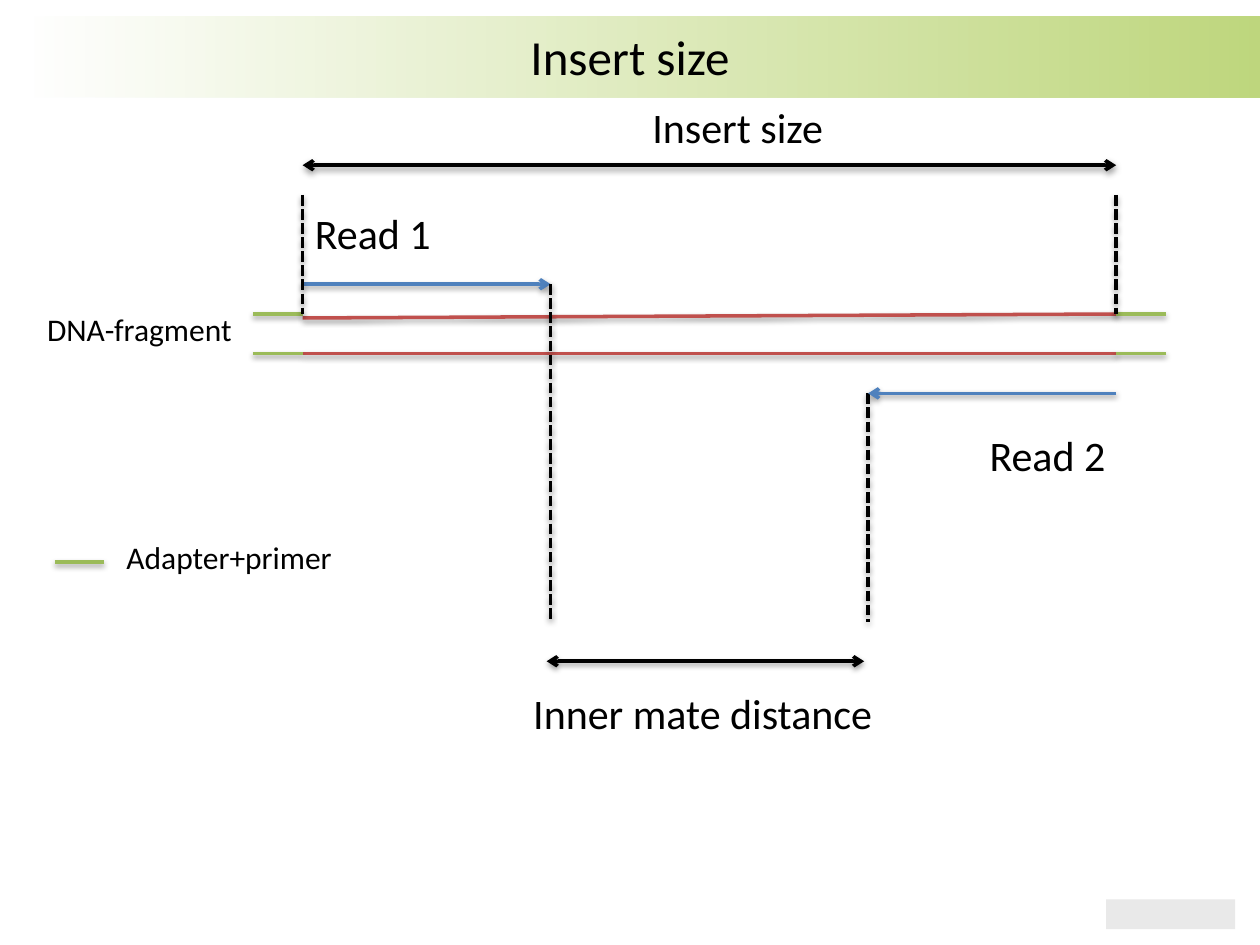
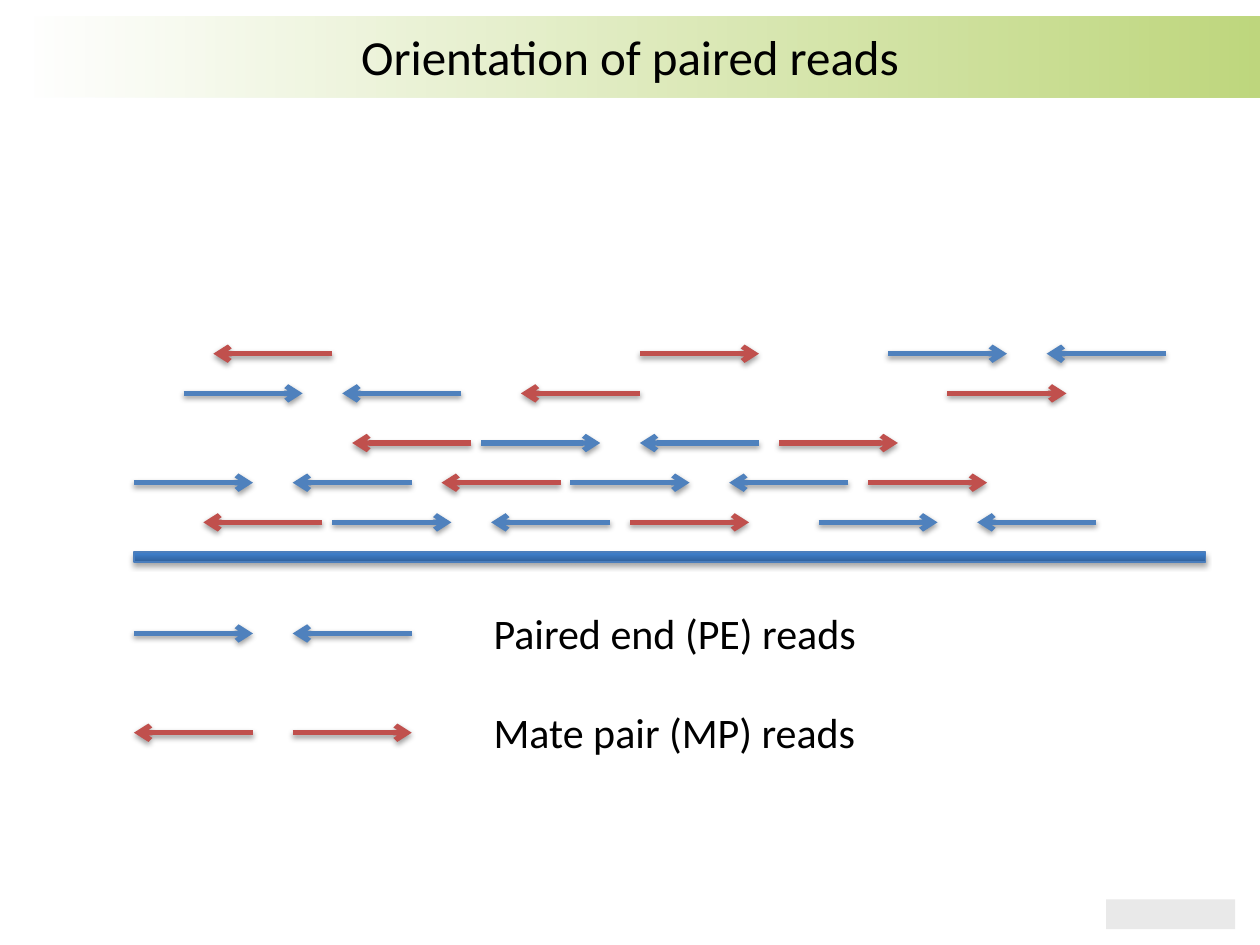
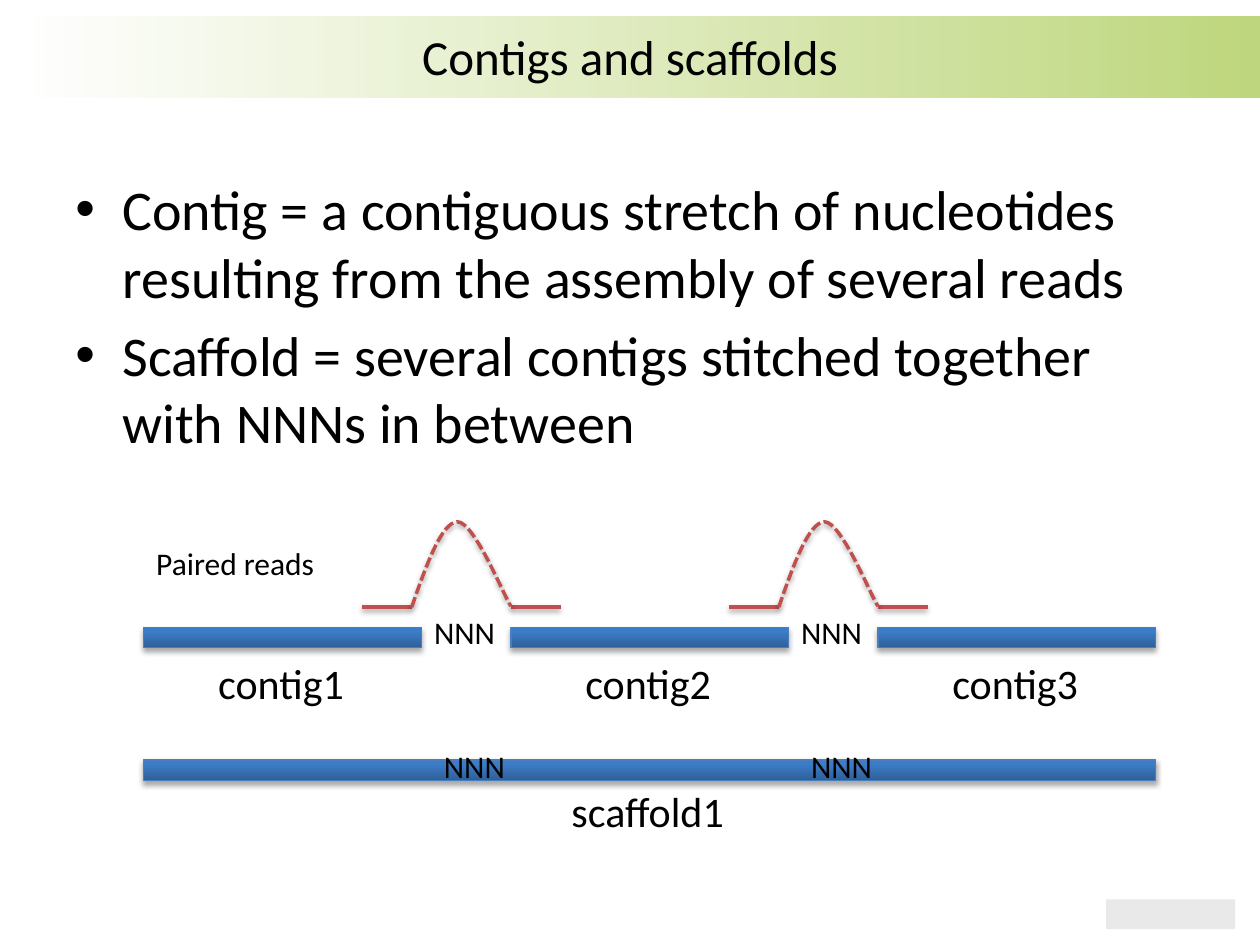
from dataclasses import dataclass

from lxml import etree
from pptx import Presentation
from pptx.dml.color import RGBColor
from pptx.enum.dml import MSO_LINE
from pptx.enum.shapes import MSO_CONNECTOR, MSO_SHAPE
from pptx.enum.text import MSO_ANCHOR, MSO_AUTO_SIZE, PP_ALIGN
from pptx.oxml.ns import qn
from pptx.util import Cm, Pt

RECT = MSO_SHAPE.RECTANGLE
STRAIGHT = MSO_CONNECTOR.STRAIGHT
DASH = MSO_LINE.SQUARE_DOT
CENTER = PP_ALIGN.CENTER
MIDDLE = MSO_ANCHOR.MIDDLE
FIT = MSO_AUTO_SIZE.SHAPE_TO_FIT_TEXT
TITLE_ONLY = 5


@dataclass(frozen=True)
class Theme:
    """Colours, font and type sizes shared by the slides."""
    font: str = "Calibri"
    title: int = 28
    body: int = 32
    label: int = 24
    small: int = 18
    ink: str = "000000"
    blue: str = "4F81BD"
    red: str = "C0504D"
    green: str = "9BBB59"
    grey: str = "E9E9E9"
    bar_edge: str = "4B7EBC"
    bar_stops: tuple = ((0, "2F5F99", 100), (80, "3D7CC7", 100), (100, "3A7CCB", 100))
    band_stops: tuple = ((0, "FFFFFF", 53), (100, "85B30A", 53))


T = Theme()


def rgb(value):
    """Turn a hex string into a colour."""
    return RGBColor.from_string(value)


def add_color(parent, value, alpha):
    """Append a colour with the given opacity in percent."""
    clr = etree.SubElement(parent, qn("a:srgbClr"), val=value)
    etree.SubElement(clr, qn("a:alpha"), val=str(alpha * 1000))


def set_gradient(shape, stops, angle):
    """Fill a shape with a linear gradient."""
    shape.fill.gradient()
    shape.fill.gradient_angle = angle
    stop_list = shape._element.spPr.find(".//" + qn("a:gsLst"))
    for gs in list(stop_list):
        stop_list.remove(gs)
    for pos, value, alpha in stops:
        gs = etree.SubElement(stop_list, qn("a:gs"), pos=str(pos * 1000))
        add_color(gs, value, alpha)


def add_shadow(shape, alpha=38, dist=20000):
    """Give a shape a soft shadow straight below it."""
    effects = etree.SubElement(shape._element.spPr, qn("a:effectLst"))
    shadow = etree.SubElement(effects, qn("a:outerShdw"), blurRad="40000",
                              dist=str(dist), dir="5400000", rotWithShape="0")
    add_color(shadow, T.ink, alpha)


def style_line(line, color, weight, dashed=False):
    """Set the colour, weight and dash of a line."""
    line.color.rgb = rgb(color)
    line.width = Pt(weight)
    if dashed:
        line.dash_style = DASH


def add_run(p, text, size):
    """Add one run in the theme's font and ink."""
    r = p.add_run()
    r.text = text
    r.font.name = T.font
    r.font.size = Pt(size)
    r.font.color.rgb = rgb(T.ink)


@dataclass
class Region:
    """A box on a slide whose parts are placed in cm from its corner."""
    s: object
    left: float
    top: float
    width: float = 0
    height: float = 0

    def point(self, x, y):
        """Turn an offset in the box into a place on the slide."""
        return Cm(self.left + x), Cm(self.top + y)

    def line(self, start, end, color=T.ink, weight=2, dashed=False, ends=()):
        """Draw a straight line, with arrowheads at the named ends."""
        c = self.s.shapes.add_connector(STRAIGHT, *self.point(*start), *self.point(*end))
        style_line(c.line, color, weight, dashed)
        for end_tag in ends:
            etree.SubElement(c.line._get_or_add_ln(), qn(end_tag), type="arrow")
        add_shadow(c)

    def label(self, text, x, y, width, size=T.label):
        """Write a one-line label."""
        height = 1.29 if size == T.label else 1.02
        sp = self.s.shapes.add_textbox(*self.point(x, y), Cm(width), Cm(height))
        tf = sp.text_frame
        tf.word_wrap = False
        tf.auto_size = FIT
        add_run(tf.paragraphs[0], text, size)

    def bar(self, x, y, width, height):
        """Draw a blue sequence bar."""
        sp = self.s.shapes.add_shape(RECT, *self.point(x, y), Cm(width), Cm(height))
        set_gradient(sp, T.bar_stops, 90)
        style_line(sp.line, T.bar_edge, 0.75)
        add_shadow(sp, 35, 23000)


TAIL = ("a:tailEnd",)
BOTH = ("a:headEnd", "a:tailEnd")


def add_furniture(layout, s):
    """Build the title band and corner block and move them to the layout."""
    band = s.shapes.add_shape(RECT, Cm(0.5), Cm(0.33), Cm(24.9), Cm(1.63))
    set_gradient(band, T.band_stops, 0)
    corner = s.shapes.add_shape(RECT, Cm(22.3), Cm(18.13), Cm(2.6), Cm(0.6))
    corner.fill.solid()
    corner.fill.fore_color.rgb = rgb(T.grey)
    for sp in (band, corner):
        sp.line.fill.background()
        sp.shadow.inherit = False
        layout.shapes._spTree.insert(2, sp._element)


def add_title(s, text):
    """Place and format the slide title."""
    title = s.shapes.title
    title.left, title.top, title.width, title.height = Cm(1.27), Cm(0.33), Cm(22.86), Cm(1.6)
    tf = title.text_frame
    tf.vertical_anchor = MIDDLE
    p = tf.paragraphs[0]
    p.alignment = CENTER
    add_run(p, text, T.title)


def draw_fragment(box):
    """Draw a DNA fragment with its two reads and distances."""
    adapter, read = 1.0, 5.0
    start, end = 5.4, box.width - adapter
    read1_end, read2_end = start + read, end - read
    upper, lower, read1_y, read2_y = 4.4, 5.2, 3.8, 6.0

    box.line((start, upper + 0.08), (end, upper), T.red)
    box.line((start, lower), (end, lower), T.red)
    box.line((start, read1_y), (read1_end, read1_y), T.blue, ends=TAIL)
    box.label("Read 1", start, 2.13, 2.9)
    box.label("Read 2", 19, 6.6, 2.9)
    box.label("DNA-fragment", 0, 4.2, 4.3, T.small)
    for x, y in ((read1_end, read1_y), (read2_end, read2_y)):
        box.line((x, y), (x, 10.6), dashed=True)
    box.label("Inner mate distance", 9.8, 11.8, 7.44)
    box.line((read1_end - 0.08, 11.4), (read2_end - 0.08, 11.4), ends=BOTH)
    for x in (start - adapter, end):
        for y in (upper, lower):
            box.line((x, y), (x + adapter, y), T.green)
    for x in (start, end):
        box.line((x, 2), (x, upper), dashed=True)
    box.line((start, 1.4), (end, 1.4), ends=BOTH)
    box.label("Insert size", 12.2, 0, 4)
    box.line((end, read2_y), (read2_end, read2_y), T.blue, ends=TAIL)

    box.line((0.4, 9.4), (0.4 + adapter, 9.4), T.green)
    box.label("Adapter+primer", 1.6, 8.8, 4.7, T.small)


def draw_pair(box, x, y, step, color, inward):
    """Draw two read arrows that face each other or point apart."""
    read = 2.4
    for left, rightward in ((x, inward), (x + step, not inward)):
        ends = [(left, y), (left + read, y)]
        if not rightward:
            ends.reverse()
        box.line(*ends, color, 3, ends=TAIL)


PE_STEP, MP_STEP = 3.2, 8.6
READ_ROWS = (
    (0, (15.2,), (1.6,)),
    (0.8, (1,), (7.8,)),
    (1.8, (7,), (4.4,)),
    (2.6, (0, 8.8), (6.2,)),
    (3.4, (4, 13.8), (1.4,)),
)


def draw_mapped_reads(box):
    """Draw rows of read pairs above the reference bar."""
    box.bar(0, box.height - 0.2, box.width, 0.2)
    for y, paired_ends, mate_pairs in READ_ROWS:
        for x in paired_ends:
            draw_pair(box, x, y, PE_STEP, T.blue, True)
        for x in mate_pairs:
            draw_pair(box, x, y, MP_STEP, T.red, False)


def draw_read_legend(box):
    """Explain the two kinds of read pair."""
    kinds = (("Paired end (PE) reads", T.blue, True), ("Mate pair (MP) reads", T.red, False))
    for i, (text, color, inward) in enumerate(kinds):
        draw_pair(box, 0, 2 * i + 0.65, PE_STEP, color, inward)
        box.label(text, 7, 2 * i, 7.9)


def write_definitions(box, items):
    """Write the bulleted definitions."""
    sp = box.s.shapes.add_textbox(*box.point(0, 0), Cm(box.width), Cm(box.height))
    tf = sp.text_frame
    tf.word_wrap = True
    for i, text in enumerate(items):
        p = tf.add_paragraph() if i else tf.paragraphs[0]
        if i:
            p.space_before = Pt(T.body * 0.2)
        pPr = p._p.get_or_add_pPr()
        pPr.set("marL", str(Cm(0.95)))
        pPr.set("indent", str(-Cm(0.95)))
        etree.SubElement(pPr, qn("a:buFont"), typeface="Arial")
        etree.SubElement(pPr, qn("a:buChar"), char="•")
        add_run(p, text, T.body)


ARC = (
    ((0, 1), (0.15, 0.5), (0.3, 0.01), (0.46, 0)),
    ((0.46, 0), (0.63, 0), (0.91, 0.82), (1, 0.99)),
)


def bezier(points, t):
    """Return the point at t on a cubic curve."""
    weights = ((1 - t) ** 3, 3 * t * (1 - t) ** 2, 3 * t * t * (1 - t), t ** 3)
    return tuple(sum(w * p[axis] for w, p in zip(weights, points)) for axis in (0, 1))


def draw_arc(box, x, width, height):
    """Draw the dashed arc that joins two paired reads."""
    steps = 16
    curve = [bezier(part, i / steps) for part in ARC for i in range(steps + 1)]
    points = [box.point(x + u * width, v * height) for u, v in curve]
    builder = box.s.shapes.build_freeform(*points[0])
    builder.add_line_segments(points[1:], close=False)
    sp = builder.convert_to_shape()
    sp.fill.background()
    style_line(sp.line, T.red, 2, dashed=True)
    add_shadow(sp)


def draw_scaffold(box):
    """Draw three contigs, the reads that link them and their scaffold."""
    count, contig, thick, read, overlap = 3, 5.6, 0.41, 1.0, 0.2
    pitch = (box.width - contig) / (count - 1)
    read_y, scaffold_y = 1.72, 4.8
    box.bar(0, scaffold_y, box.width, thick)
    for i in range(count):
        x = i * pitch
        box.bar(x, 2.13, contig, thick)
        box.label(f"contig{i + 1}", x + (contig - 3.1) / 2, 2.62, 3.1)
    for i in range(count - 1):
        gap = i * pitch + contig
        left_end, right_start = gap - overlap, (i + 1) * pitch
        box.line((left_end - read, read_y), (left_end, read_y), T.red)
        box.line((right_start, read_y), (right_start + read, read_y), T.red)
        draw_arc(box, left_end, right_start - left_end, read_y)
        box.label("NNN", gap, read_y, 1.75, T.small)
        box.label("NNN", gap + 0.2, 4.42, 1.75, T.small)
    box.label("Paired reads", 0, 0.33, 3.76, T.small)
    box.label("scaffold1", (box.width - 3.66) / 2, 5.2, 3.66)


def insert_size_slide(s):
    """Build the insert size slide."""
    add_title(s, "Insert size")
    draw_fragment(Region(s, 0.7, 1.93, 22.8, 13.1))


def orientation_slide(s):
    """Build the read orientation slide."""
    add_title(s, "Orientation of paired reads")
    draw_mapped_reads(Region(s, 2.7, 7.13, 21.6, 4.2))
    draw_read_legend(Region(s, 2.7, 12.12))


def scaffolds_slide(s):
    """Build the contigs and scaffolds slide."""
    add_title(s, "Contigs and scaffolds")
    write_definitions(Region(s, 1.27, 3.4, 22.86, 6), (
        "Contig = a contiguous stretch of nucleotides resulting from the assembly of several reads",
        "Scaffold = several contigs stitched together with NNNs in between",
    ))
    draw_scaffold(Region(s, 2.9, 10.52, 20.4, 6.5))


def main():
    """Build the presentation and save it."""
    prs = Presentation()
    prs.slide_width, prs.slide_height = Cm(25.4), Cm(19.05)
    layout = prs.slide_layouts[TITLE_ONLY]
    builders = (insert_size_slide, orientation_slide, scaffolds_slide)
    slides = [prs.slides.add_slide(layout) for _ in builders]
    add_furniture(layout, slides[0])
    for build, s in zip(builders, slides):
        build(s)
    prs.save("out.pptx")


if __name__ == "__main__":
    main()
